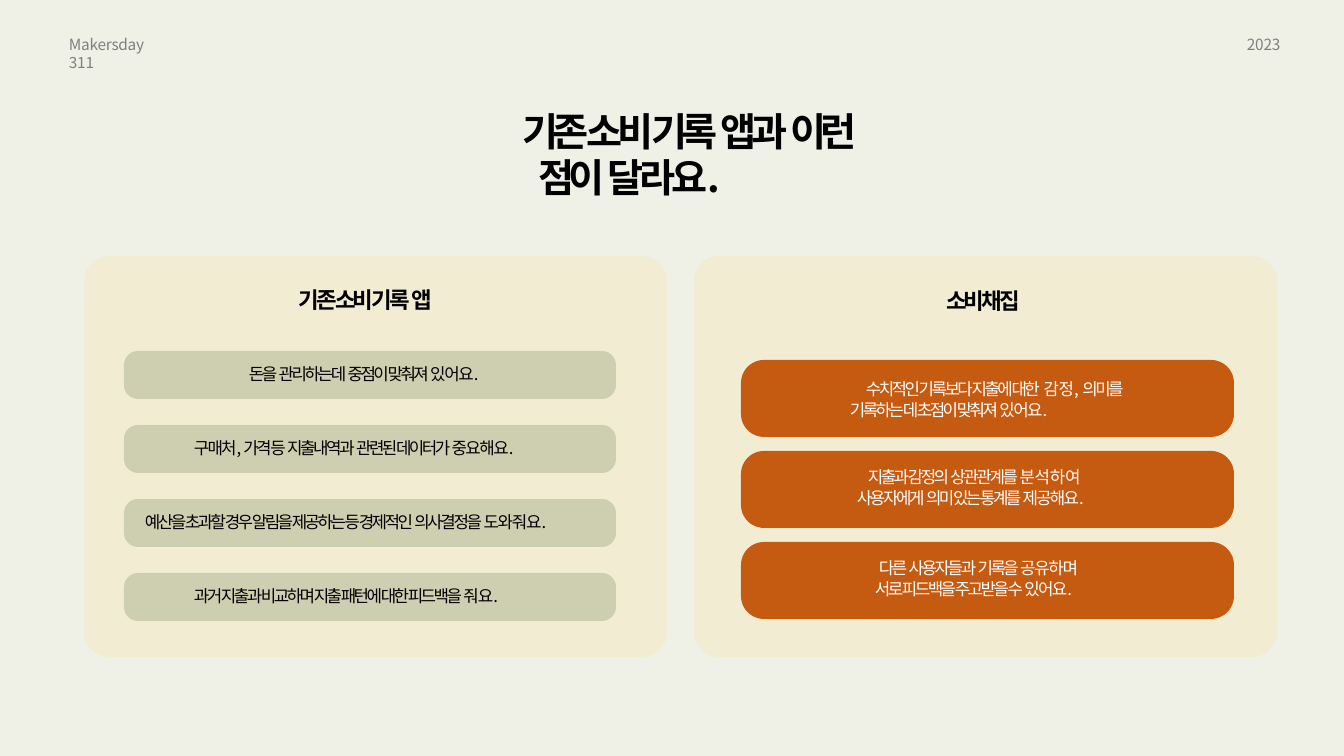
"""Build a slide comparing existing spending-record apps with a new one."""
import pptx
import pptx.dml.color
import pptx.enum.shapes
import pptx.enum.text
import pptx.oxml.ns
import pptx.util
import lxml.etree

PX = 914400 / 100.8
FONT = "Noto Sans CJK KR"
BACKGROUND = pptx.dml.color.RGBColor(0xF0, 0xF1, 0xE6)
CREAM = pptx.dml.color.RGBColor(0xF2, 0xED, 0xD2)
SAGE = pptx.dml.color.RGBColor(0xCE, 0xCE, 0xB0)
ORANGE = pptx.dml.color.RGBColor(0xC5, 0x5A, 0x11)
BLACK = pptx.dml.color.RGBColor(0x00, 0x00, 0x00)
WHITE = pptx.dml.color.RGBColor(0xFF, 0xFF, 0xFF)
GRAY = pptx.dml.color.RGBColor(0x7F, 0x7F, 0x7F)

prs = pptx.Presentation()
prs.slide_width = round(1344 * PX)
prs.slide_height = round(756 * PX)
s = prs.slides.add_slide(prs.slide_layouts[5])
s.background.fill.solid()
s.background.fill.fore_color.rgb = BACKGROUND


def add_card(left, top, width, height, radius, color):
    sp = s.shapes.add_shape(
        pptx.enum.shapes.MSO_SHAPE.ROUNDED_RECTANGLE,
        *(round(v * PX) for v in (left, top, width, height)))
    sp.adjustments[0] = radius / height
    sp.shadow.inherit = False
    sp.fill.solid()
    sp.fill.fore_color.rgb = color
    sp.line.fill.background()


def add_label(box, runs, size, color, bold=False, left=1, first=0, line=1.0, inset=2, sp=None):
    box = [round(v * PX) for v in box]
    sp = sp or s.shapes.add_textbox(*box)
    sp.left, sp.top, sp.width, sp.height = box
    tf = sp.text_frame
    tf.word_wrap = True
    tf.auto_size = pptx.enum.text.MSO_AUTO_SIZE.NONE
    tf.vertical_anchor = pptx.enum.text.MSO_ANCHOR.TOP
    tf.margin_left = tf.margin_right = tf.margin_bottom = 0
    tf.margin_top = round(inset * PX)
    p = tf.paragraphs[0]
    p.alignment = pptx.enum.text.PP_ALIGN.LEFT
    p.line_spacing = line
    pPr = p._p.get_or_add_pPr()
    pPr.set("marL", str(round(left * PX)))
    pPr.set("indent", str(round(first * PX)))
    for text, spacing in runs:
        r = p.add_run()
        r.text = text
        r.font.size = pptx.util.Pt(size)
        r.font.bold = bold
        r.font.color.rgb = color
        r.font.name = FONT
        rPr = r._r.get_or_add_rPr()
        rPr.set("spc", str(round(spacing * 100)))
        lxml.etree.SubElement(rPr, pptx.oxml.ns.qn("a:ea")).set("typeface", FONT)


add_label((419, 62, 459, 135),
          [("기존 소비 기록 ", -3.9), ("앱과 ", -4.2), ("이런 점이 ", -3.9), ("달라요.", -3.1)],
          28, BLACK, True, left=119, first=-16, line=pptx.util.Pt(32.9), inset=46,
          sp=s.shapes.title)
add_label((68, 33, 95, 21), [("Makersday 311", -0.2)], 11, GRAY)
add_label((1246, 33, 37, 21), [("2023", -0.2)], 11, GRAY)

panels = [
    (84, (298, 284, 154, 29), [("기존 소비 기록 ", -2.3), ("앱", -1.1)]),
    (694, (945, 285, 81, 29), [("소비채집", -2)]),
]
for panel_left, heading_box, heading in panels:
    add_card(panel_left, 256, 583, 401, 25, CREAM)
    add_label(heading_box, heading, 16, BLACK, True)

existing_points = [
    (248, 255, [("돈을 ", -1.8), ("관리하는데 ", -1.7), ("중점이 맞춰져 ", -1.8),
                ("있어요.", -0.9)]),
    (193, 355, [("구매처, ", -1.3), ("가격 등 ", -1.8), ("지출내역과 ", -1.7),
                ("관련된 데이터가 ", -1.8), ("중요해요.", -1.1)]),
    (144, 461, [("예산을 초과할 경우 알림을 제공하는 등 경제적인 ", -1.8),
                ("의사결정을 ", -1.7), ("도와줘요.", -0.9)]),
    (193, 355, [("과거 지출과 비교하며 지출 패턴에 대한 피드백을 ", -1.8), ("줘요.", -0.6)]),
]
for i, (text_left, text_width, runs) in enumerate(existing_points):
    top = 351 + 74 * i
    add_card(124, top, 492, 48, 14, SAGE)
    add_label((text_left, top + 11, text_width, 23), runs, 12, BLACK)

new_points = [
    ((849, 376, 274, 43), 16, 1.03,
     [("수치적인 기록보다 지출에 대한", -1.8), (" 감정, ", -0.2),
      ("의미를 기록하는 데 초점이 맞춰져 ", -1.8), ("있어요.", -1.1)]),
    ((856, 464, 255, 43), 11, 1.03,
     [("지출과 감정의 ", -1.8), ("상관관계를 ", -1.7), ("분석하여 ", -0.2),
      ("사용자에게 ", -1.7), ("의미 있는 통계를 ", -1.8), ("제공해요.", -1.3)]),
    ((874, 555, 227, 45), 4, 1.05,
     [("다른 ", -1.8), ("사용자들과 ", -1.7), ("기록을 ", -1.8), ("공유하며 ", -0.9),
      ("서로 피드백을 주고받을 수 ", -1.8), ("있어요.", -1.2)]),
]
for i, (box, first, line, runs) in enumerate(new_points):
    add_card(741, 360 + 91 * i, 493, 77, 23, ORANGE)
    add_label(box, runs, 12, WHITE, first=first, line=line)

prs.save("out.pptx")
